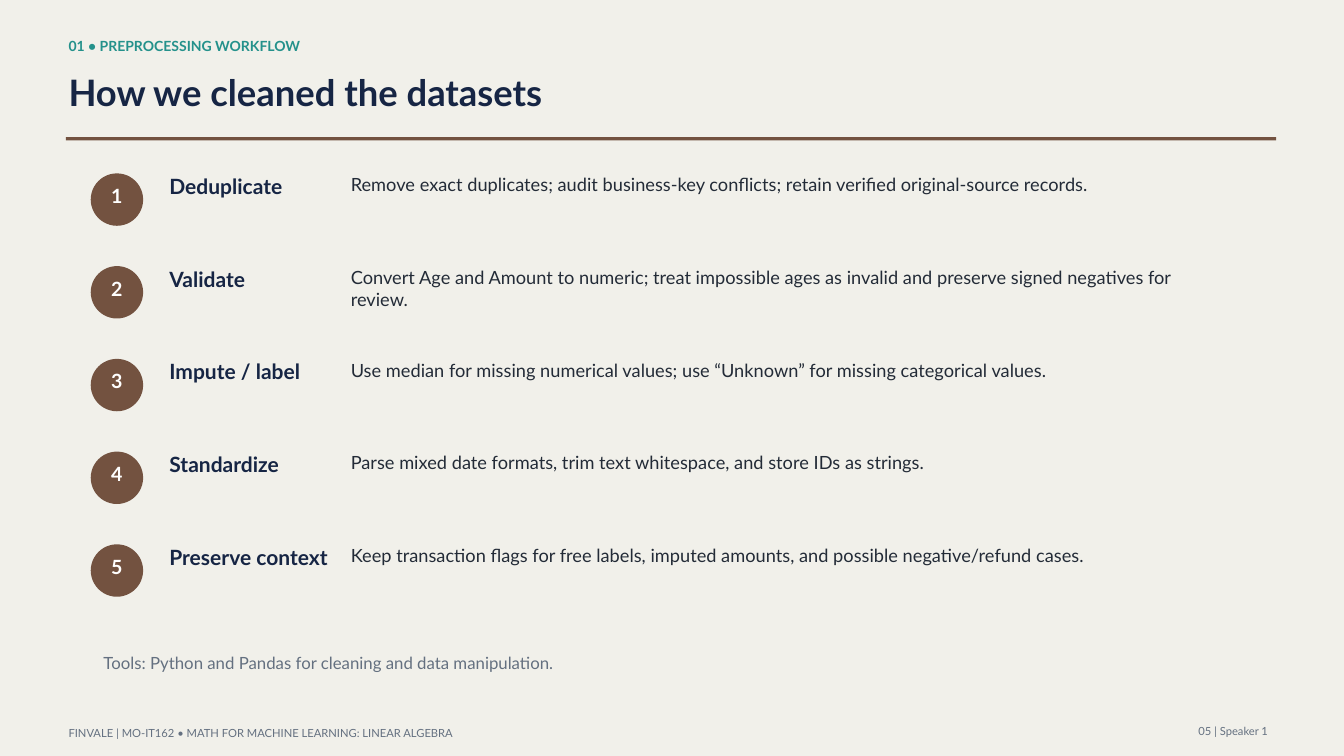
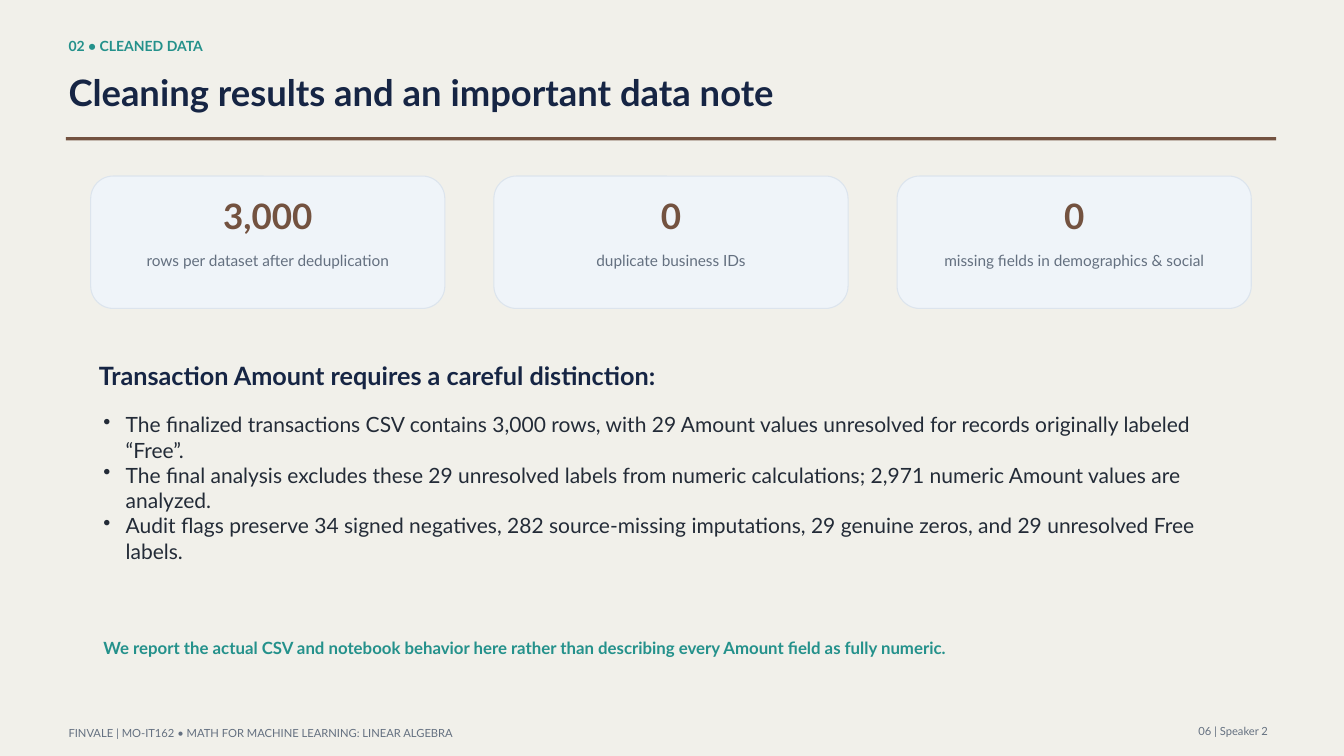
from dataclasses import dataclass

import pptx
import pptx.dml.color
import pptx.enum.shapes
import pptx.enum.text
import pptx.oxml.ns
import pptx.presentation
import pptx.shapes.autoshape
import pptx.slide
import pptx.text.text
import pptx.util
from lxml import etree

Inches = pptx.util.Inches
Align = pptx.enum.text.PP_ALIGN
Anchor = pptx.enum.text.MSO_ANCHOR
Shape = pptx.enum.shapes.MSO_SHAPE

FONT = "Lato"
PAPER, BROWN, TEAL, NAVY = "F1F0EA", "735240", "24918B", "162544"
INK, GREY, WHITE = "232B37", "647080", "FFFFFF"
CARD_FILL, CARD_LINE = "EFF4F9", "DCE4ED"
FOOTER = "FINVALE | MO-IT162 • MATH FOR MACHINE LEARNING: LINEAR ALGEBRA"
LINE_HEIGHT = 1.2


@dataclass(frozen=True)
class TextStyle:
    size: float
    color: str
    bold: bool = False
    align: Align = Align.LEFT


KICKER = TextStyle(15, TEAL, True)
TITLE = TextStyle(39, NAVY, True)
FOOTER_LEFT = TextStyle(12, GREY)
FOOTER_RIGHT = TextStyle(12, GREY, align=Align.RIGHT)
STEP_NUMBER = TextStyle(21, WHITE, True, Align.CENTER)
STEP_NAME = TextStyle(22.5, NAVY, True)
STEP_DETAIL = TextStyle(19.5, INK)
TOOLS_NOTE = TextStyle(18, GREY)
CARD_VALUE = TextStyle(37.5, BROWN, True, Align.CENTER)
CARD_LABEL = TextStyle(16.5, GREY, align=Align.CENTER)
SUBHEAD = TextStyle(27, NAVY, True)
BULLET = TextStyle(22.5, INK)
CLOSING = TextStyle(18, TEAL, True)


@dataclass(frozen=True)
class Step:
    name: str
    detail: str


@dataclass(frozen=True)
class ResultCard:
    value: str
    label: str


STEPS = [
    Step("Deduplicate", "Remove exact duplicates; audit business-key conflicts; "
         "retain verified original-source records."),
    Step("Validate", "Convert Age and Amount to numeric; treat impossible ages as "
         "invalid and preserve signed negatives for review."),
    Step("Impute / label", "Use median for missing numerical values; "
         "use “Unknown” for missing categorical values."),
    Step("Standardize", "Parse mixed date formats, trim text whitespace, "
         "and store IDs as strings."),
    Step("Preserve context", "Keep transaction flags for free labels, "
         "imputed amounts, and possible negative/refund cases."),
]

RESULT_CARDS = [
    ResultCard("3,000", "rows per dataset after deduplication"),
    ResultCard("0", "duplicate business IDs"),
    ResultCard("0", "missing fields in demographics & social"),
]

AMOUNT_NOTES = [
    "The finalized transactions CSV contains 3,000 rows, with 29 Amount values "
    "unresolved for records originally labeled “Free”.",
    "The final analysis excludes these 29 unresolved labels from numeric "
    "calculations; 2,971 numeric Amount values are analyzed.",
    "Audit flags preserve 34 signed negatives, 282 source-missing imputations, "
    "29 genuine zeros, and 29 unresolved Free labels.",
]


def rgb(color: str) -> pptx.dml.color.RGBColor:
    return pptx.dml.color.RGBColor.from_string(color)


def make_bullet(para: pptx.text.text._Paragraph) -> None:
    properties = para._p.get_or_add_pPr()
    hang = Inches(0.33)
    properties.set("marL", str(hang))
    properties.set("indent", str(-hang))
    bullet = etree.SubElement(properties, pptx.oxml.ns.qn("a:buChar"))
    bullet.set("char", "•")


def write(frame: pptx.text.text.TextFrame, lines: list[str], style: TextStyle,
          bulleted: bool = False) -> None:
    """Fill a frame with one paragraph per line, without inner margins."""
    frame.word_wrap = True
    frame.margin_left = frame.margin_right = frame.margin_top = frame.margin_bottom = 0
    frame.text = "\n".join(lines)
    for para in frame.paragraphs:
        if bulleted:
            make_bullet(para)
        para.alignment = style.align
        para.line_spacing = pptx.util.Pt(style.size * LINE_HEIGHT)
        for span in para.runs:
            span.font.name = FONT
            span.font.size = pptx.util.Pt(style.size)
            span.font.bold = style.bold
            span.font.color.rgb = rgb(style.color)


def add_text(slide: pptx.slide.Slide, left: float, top: float, width: float,
             height: float, style: TextStyle, *lines: str,
             bulleted: bool = False) -> None:
    box = slide.shapes.add_textbox(Inches(left), Inches(top), Inches(width), Inches(height))
    write(box.text_frame, list(lines), style, bulleted)


def add_filled(slide: pptx.slide.Slide, kind: Shape, left: float, top: float,
               width: float, height: float, fill: str) -> pptx.shapes.autoshape.Shape:
    """Add a preset shape with a plain fill, no outline and no shadow."""
    shape = slide.shapes.add_shape(
        kind, Inches(left), Inches(top), Inches(width), Inches(height))
    shape.shadow.inherit = False
    shape.fill.solid()
    shape.fill.fore_color.rgb = rgb(fill)
    shape.line.fill.background()
    return shape


def add_framed_slide(deck: pptx.presentation.Presentation, kicker: str, title: str,
                     page_label: str) -> pptx.slide.Slide:
    """Add a slide with the shared background, heading, rule and footer."""
    slide = deck.slides.add_slide(deck.slide_layouts[6])
    slide.background.fill.solid()
    slide.background.fill.fore_color.rgb = rgb(PAPER)
    add_text(slide, 1.02, 0.56, 17.63, 0.33, KICKER, kicker)
    add_text(slide, 1.02, 1.05, 17.93, 0.82, TITLE, title)
    add_filled(slide, Shape.RECTANGLE, 0.98, 2.04, 18.01, 0.05, BROWN)
    add_text(slide, 1.02, 10.81, 13.43, 0.19, FOOTER_LEFT, FOOTER)
    add_text(slide, 15.35, 10.78, 3.52, 0.22, FOOTER_RIGHT, page_label)
    return slide


def add_step(slide: pptx.slide.Slide, number: int, top: float, step: Step) -> None:
    badge = add_filled(slide, Shape.OVAL, 1.35, top, 0.78, 0.78, BROWN)
    write(badge.text_frame, [str(number)], STEP_NUMBER)
    badge.text_frame.vertical_anchor = Anchor.MIDDLE
    badge.text_frame.margin_bottom = Inches(0.12)
    add_text(slide, 2.52, top, 2.92, 0.4, STEP_NAME, step.name)
    add_text(slide, 5.22, top, 13.06, 0.73, STEP_DETAIL, step.detail)


def add_result_card(slide: pptx.slide.Slide, left: float, card: ResultCard) -> None:
    panel = add_filled(slide, Shape.ROUNDED_RECTANGLE, left, 2.62, 5.27, 1.97, CARD_FILL)
    panel.adjustments[0] = 0.17
    panel.line.color.rgb = rgb(CARD_LINE)
    panel.line.width = pptx.util.Pt(1.13)
    add_text(slide, left + 0.23, 2.9, 4.81, 0.67, CARD_VALUE, card.value)
    add_text(slide, left + 0.23, 3.74, 4.81, 0.63, CARD_LABEL, card.label)


def build_workflow_slide(deck: pptx.presentation.Presentation) -> None:
    slide = add_framed_slide(deck, "01 • PREPROCESSING WORKFLOW",
                             "How we cleaned the datasets", "05 | Speaker 1")
    for index, step in enumerate(STEPS):
        add_step(slide, index + 1, 2.58 + 1.38 * index, step)
    add_text(slide, 1.54, 9.71, 16.43, 0.4, TOOLS_NOTE,
             "Tools: Python and Pandas for cleaning and data manipulation.")


def build_results_slide(deck: pptx.presentation.Presentation) -> None:
    slide = add_framed_slide(deck, "02 • CLEANED DATA",
                             "Cleaning results and an important data note",
                             "06 | Speaker 2")
    for index, card in enumerate(RESULT_CARDS):
        add_result_card(slide, 1.35 + 6 * index, card)
    add_text(slide, 1.47, 5.36, 16.88, 0.55, SUBHEAD,
             "Transaction Amount requires a careful distinction:")
    add_text(slide, 1.54, 6.13, 16.73, 2.75, BULLET, *AMOUNT_NOTES, bulleted=True)
    add_text(slide, 1.54, 9.49, 16.73, 0.58, CLOSING,
             "We report the actual CSV and notebook behavior here rather than "
             "describing every Amount field as fully numeric.")


def main() -> None:
    deck = pptx.Presentation()
    deck.slide_width = Inches(20)
    deck.slide_height = Inches(11.25)
    build_workflow_slide(deck)
    build_results_slide(deck)
    deck.save("out.pptx")


if __name__ == "__main__":
    main()
